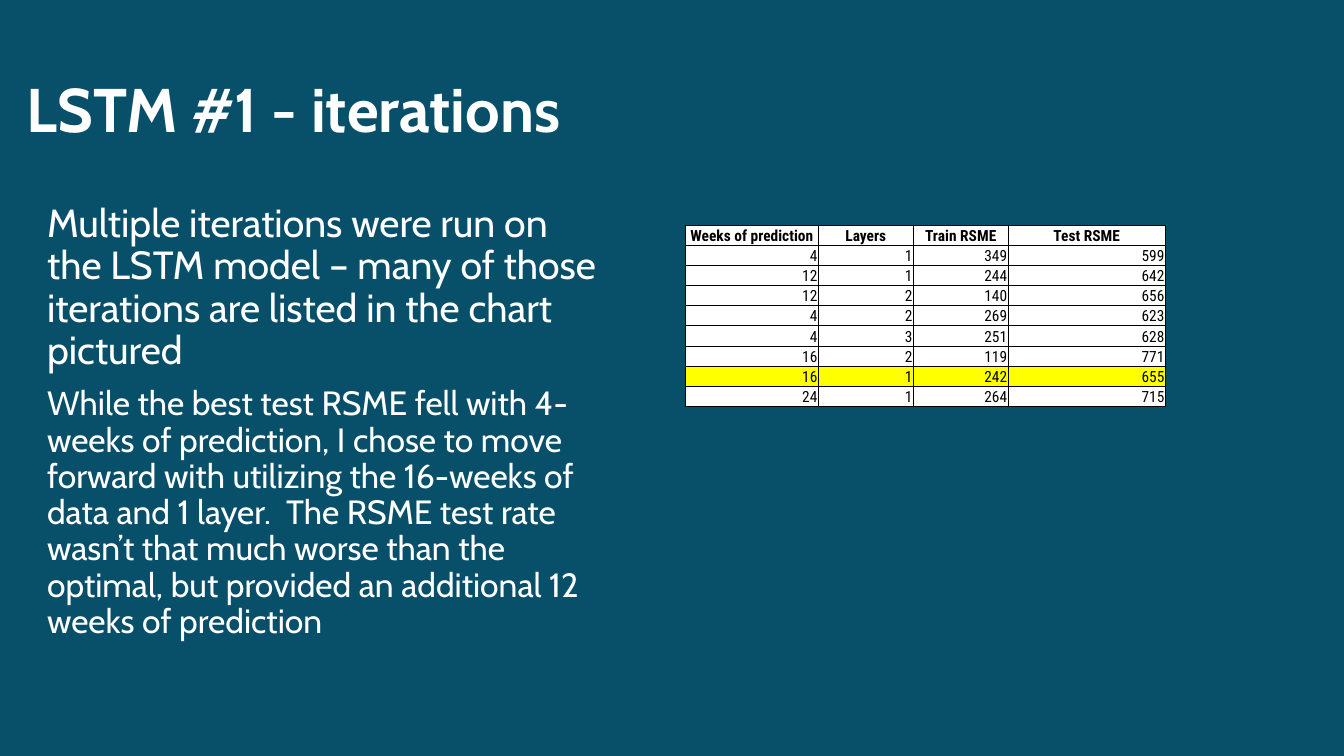
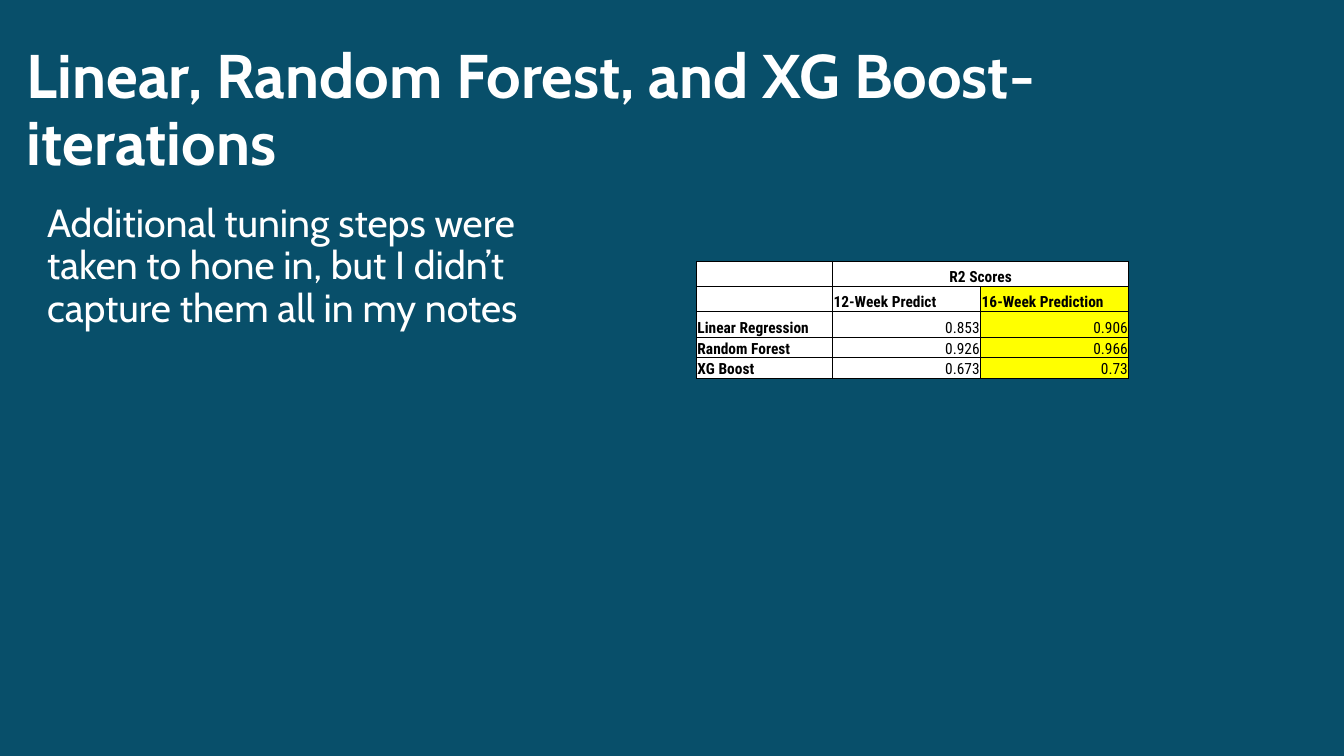
from dataclasses import dataclass

from lxml import etree
from pptx import Presentation
from pptx.dml.color import RGBColor
from pptx.enum.text import MSO_ANCHOR, MSO_AUTO_SIZE, PP_ALIGN
from pptx.oxml.ns import qn
from pptx.util import Pt

LEFT, CENTER, RIGHT = PP_ALIGN.LEFT, PP_ALIGN.CENTER, PP_ALIGN.RIGHT
TOP, MIDDLE, BOTTOM = MSO_ANCHOR.TOP, MSO_ANCHOR.MIDDLE, MSO_ANCHOR.BOTTOM
NO_AUTOFIT = MSO_AUTO_SIZE.NONE
TITLE_ONLY = 5


@dataclass(frozen=True)
class Theme:
    background: str = "084F6A"
    text: str = "FFFFFF"
    cell: str = "FFFFFF"
    highlight: str = "FFFF00"
    ink: str = "000000"
    text_font: str = "Cabin"
    table_font: str = "Roboto Condensed"
    title_size: float = 44
    lead_size: float = 28
    detail_size: float = 24
    table_size: float = 11
    border_width: float = 0.5
    cell_inset: float = 0.7


THEME = Theme()
TITLE_BOX = (12, 28, 828, 104.4)
BODY_BOX = (26.6, 141.8, 408.2, 341.3)

ITERATIONS = [
    ("Weeks of prediction", "Layers", "Train RSME", "Test RSME"),
    (4, 1, 349, 599),
    (12, 1, 244, 642),
    (12, 2, 140, 656),
    (4, 2, 269, 623),
    (4, 3, 251, 628),
    (16, 2, 119, 771),
    (16, 1, 242, 655),
    (24, 1, 264, 715),
]
CHOSEN_ITERATION = 7

SCORES = [
    ("", "R2 Scores", ""),
    ("", "12-Week Predict", "16-Week Prediction"),
    ("Linear Regression", 0.853, 0.906),
    ("Random Forest", 0.926, 0.966),
    ("XG Boost", 0.673, 0.73),
]
CHOSEN_SCORES = 2


def set_attributes(target, values):
    for name, value in values.items():
        setattr(target, name, value)


def format_font(font, name, size, color, bold=False):
    set_attributes(font, {"name": name, "size": Pt(size), "bold": bold})
    font.color.rgb = RGBColor.from_string(color)


def place(shape, box):
    sides = ("left", "top", "width", "height")
    set_attributes(shape, dict(zip(sides, map(Pt, box))))


def add_titled_slide(presentation, title):
    slide = presentation.slides.add_slide(presentation.slide_layouts[TITLE_ONLY])
    shape = slide.shapes.title
    place(shape, TITLE_BOX)
    frame = shape.text_frame
    frame.text = title
    set_attributes(frame, {
        "word_wrap": True, "auto_size": NO_AUTOFIT, "vertical_anchor": MIDDLE,
    })
    paragraph = frame.paragraphs[0]
    set_attributes(paragraph, {"alignment": LEFT, "line_spacing": 0.9})
    format_font(paragraph.runs[0].font, THEME.text_font, THEME.title_size,
                THEME.text, bold=True)
    return slide


def add_body(slide, texts):
    frame = slide.shapes.add_textbox(*map(Pt, BODY_BOX)).text_frame
    set_attributes(frame, {
        "word_wrap": True, "auto_size": NO_AUTOFIT, "vertical_anchor": TOP,
    })
    for index, (text, size) in enumerate(texts):
        paragraph = frame.add_paragraph() if index else frame.paragraphs[0]
        set_attributes(paragraph, {
            "alignment": LEFT, "line_spacing": 0.9, "space_before": Pt(10),
        })
        run = paragraph.add_run()
        run.text = text
        format_font(run.font, THEME.text_font, size, THEME.text)


def add_borders(cell):
    properties = cell._tc.get_or_add_tcPr()
    for side in ("a:lnL", "a:lnR", "a:lnT", "a:lnB"):
        line = etree.SubElement(properties, qn(side), w=str(Pt(THEME.border_width)))
        fill = etree.SubElement(line, qn("a:solidFill"))
        etree.SubElement(fill, qn("a:srgbClr"), val=THEME.ink)


def fill_cell(cell, value, label_alignment, color):
    is_label = isinstance(value, str)
    inset = Pt(THEME.cell_inset)
    set_attributes(cell, {
        "vertical_anchor": BOTTOM, "margin_left": inset, "margin_right": inset,
        "margin_top": inset, "margin_bottom": 0,
    })
    add_borders(cell)
    cell.fill.solid()
    cell.fill.fore_color.rgb = RGBColor.from_string(color)
    paragraph = cell.text_frame.paragraphs[0]
    paragraph.alignment = label_alignment if is_label else RIGHT
    if value == "":
        etree.SubElement(paragraph._p, qn("a:endParaRPr"),
                         sz=str(int(THEME.table_size * 100)))
        return
    run = paragraph.add_run()
    run.text = str(value)
    format_font(run.font, THEME.table_font, THEME.table_size, THEME.ink, is_label)


def add_grid(slide, position, widths, heights, rows, label_alignment, is_highlighted):
    box = (*position, sum(widths), sum(heights))
    table = slide.shapes.add_table(len(rows), len(widths), *map(Pt, box)).table
    set_attributes(table, {"first_row": False, "horz_banding": False})
    for column, width in zip(table.columns, widths):
        column.width = Pt(width)
    for row, height in zip(table.rows, heights):
        row.height = Pt(height)
    for row_index, values in enumerate(rows):
        for column_index, value in enumerate(values):
            highlighted = is_highlighted(row_index, column_index)
            color = THEME.highlight if highlighted else THEME.cell
            fill_cell(table.cell(row_index, column_index), value,
                      label_alignment, color)
    return table


def add_lstm_slide(presentation):
    slide = add_titled_slide(presentation, "LSTM #1 - iterations")
    add_body(slide, [
        ("Multiple iterations were run on the LSTM model – many of those "
         "iterations are listed in the chart pictured", THEME.lead_size),
        ("While the best test RSME fell with 4-weeks of prediction, I chose to "
         "move forward with utilizing the 16-weeks of data and 1 layer.  The "
         "RSME test rate wasn’t that much worse than the optimal, but provided "
         "an additional 12 weeks of prediction", THEME.detail_size),
    ])
    add_grid(slide, (489.6, 160.6), (95, 67.8, 67.8, 112.3),
             [14.4] * len(ITERATIONS), ITERATIONS, CENTER,
             lambda row, column: row == CHOSEN_ITERATION)


def add_scores_slide(presentation):
    slide = add_titled_slide(
        presentation, "Linear, Random Forest, and XG Boost- iterations")
    table = add_grid(slide, (497.5, 186.5), (97.2, 105.8, 105.8),
                     (18, 18, 18.7, 14.4, 14.4), SCORES, LEFT,
                     lambda row, column: row > 0 and column == CHOSEN_SCORES)
    heading = table.cell(0, 1)
    heading.merge(table.cell(0, 2))
    heading.text_frame.paragraphs[0].alignment = CENTER
    add_body(slide, [
        ("Additional tuning steps were taken to hone in, but I didn’t capture "
         "them all in my notes", THEME.lead_size),
    ])


def main():
    presentation = Presentation()
    set_attributes(presentation, {"slide_width": Pt(960), "slide_height": Pt(540)})
    background = presentation.slide_master.background.fill
    background.solid()
    background.fore_color.rgb = RGBColor.from_string(THEME.background)
    add_lstm_slide(presentation)
    add_scores_slide(presentation)
    presentation.save("out.pptx")


if __name__ == "__main__":
    main()
